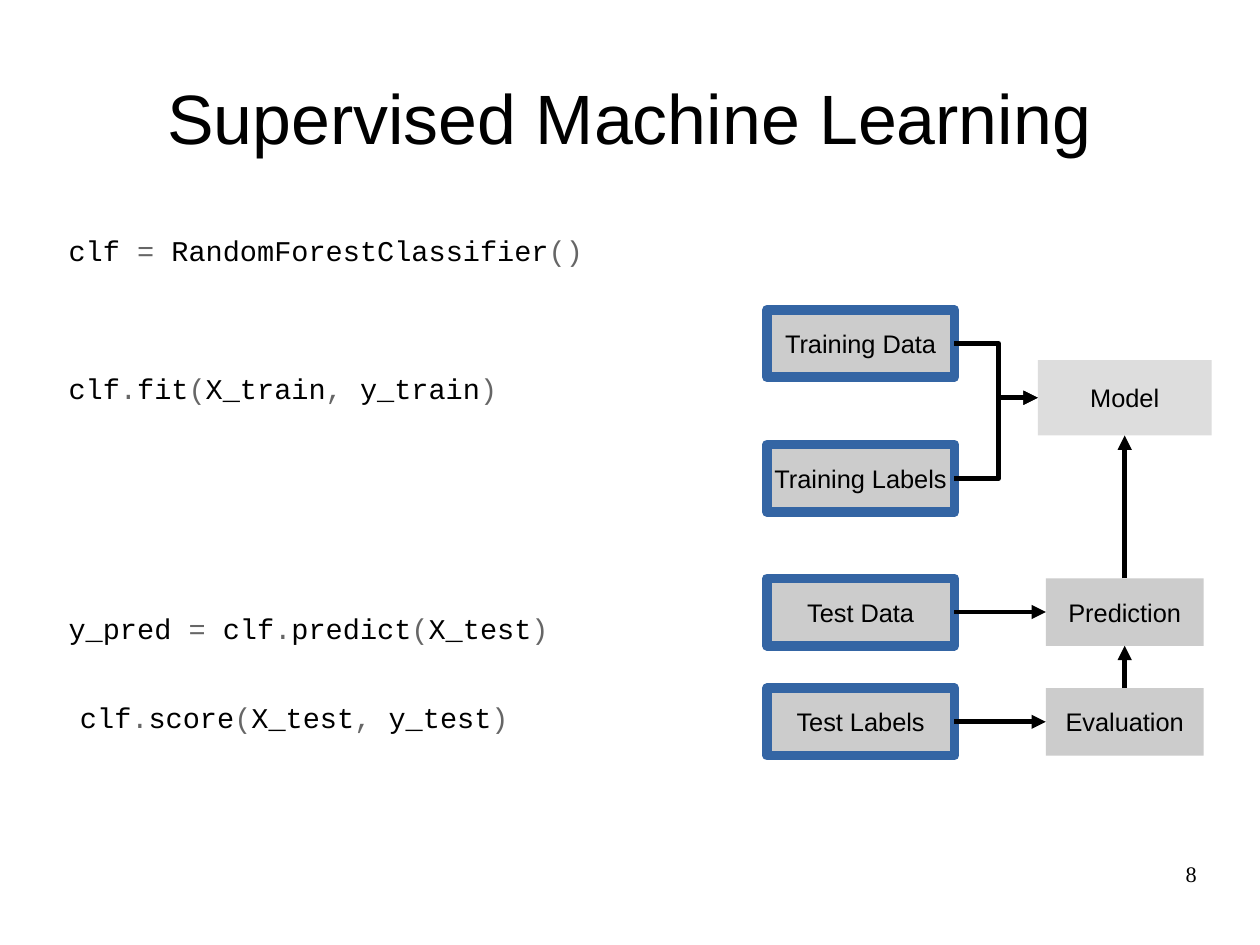
from itertools import groupby

from lxml import etree
from pptx import Presentation
from pptx import util as u
from pptx.dml.color import RGBColor
from pptx.enum import shapes, text
from pptx.oxml import ns

BLACK = RGBColor(0x00, 0x00, 0x00)
OPERATOR = RGBColor(0x66, 0x66, 0x66)
GREY = RGBColor(0xCC, 0xCC, 0xCC)
LIGHT = RGBColor(0xDD, 0xDD, 0xDD)
BLUE = RGBColor(0x34, 0x65, 0xA4)

SANS, MONO, SERIF = "Arial", "Courier New", "Times New Roman"
TOP, LEFT, BOTTOM, RIGHT = range(4)
ALIGN = text.PP_ALIGN
ANCHOR = text.MSO_ANCHOR
CONNECTOR = shapes.MSO_CONNECTOR


class Deck:
    """Holds the style and the current slide."""

    def __init__(self, width, height):
        self.prs = Presentation()
        self.prs.slide_width = u.Inches(width)
        self.prs.slide_height = u.Inches(height)
        self.s = self.prs.slides.add_slide(self.prs.slide_layouts[6])

    def frame(self, tf, wrap, anchor, margins=(0, 0)):
        side, end = (u.Inches(m) for m in margins)
        form = {"word_wrap": wrap, "vertical_anchor": anchor,
                "margin_left": side, "margin_right": side,
                "margin_top": end, "margin_bottom": end}
        for name, value in form.items():
            setattr(tf, name, value)

    def run(self, p, words, size, font, color=BLACK):
        r = p.add_run()
        r.text = words
        for name, value in {"size": u.Pt(size), "name": font}.items():
            setattr(r.font, name, value)
        r.font.color.rgb = color

    def textbox(self, box, anchor=ANCHOR.TOP):
        sp = self.s.shapes.add_textbox(*map(u.Inches, box))
        self.frame(sp.text_frame, True, anchor)
        return sp.text_frame

    def label(self, box, words, size, font, align, anchor=ANCHOR.TOP):
        p = self.textbox(box, anchor).paragraphs[0]
        p.alignment = align
        self.run(p, words, size, font)

    def code(self, box, lines):
        """Lines are (space before in points, code)."""
        tf = self.textbox(box)
        for i, (space, line) in enumerate(lines):
            p = tf.add_paragraph() if i else tf.paragraphs[0]
            if space:
                p.space_before = u.Pt(space)
            for is_operator, chars in groupby(line, lambda c: c in "=.,()"):
                self.run(p, "".join(chars), 18, MONO,
                         OPERATOR if is_operator else BLACK)

    def block(self, box, words, fill=GREY, border=None):
        sp = self.s.shapes.add_shape(shapes.MSO_SHAPE.RECTANGLE,
                                     *map(u.Inches, box))
        sp.shadow.inherit = False
        sp.fill.solid()
        sp.fill.fore_color.rgb = fill
        if border is None:
            sp.line.fill.background()
        else:
            sp.line.color.rgb = border
            sp.line.width = u.Pt(6)
        self.frame(sp.text_frame, False, ANCHOR.MIDDLE,
                   (0.1, 0.05) if border is None else (0.14, 0.09))
        p = sp.text_frame.paragraphs[0]
        p.alignment = ALIGN.CENTER
        self.run(p, words, 16, SANS)
        return sp

    def connector(self, kind, start=(0, 0), end=(0, 0)):
        c = self.s.shapes.add_connector(kind, *map(u.Inches, start + end))
        c.line.color.rgb = BLACK
        c.line.width = u.Pt(3)
        etree.SubElement(c.line._get_or_add_ln(), ns.qn("a:tailEnd"),
                         type="triangle")
        etree.SubElement(c._element.spPr, ns.qn("a:effectLst"))
        return c

    def arrow(self, source, out_side, target, in_side):
        c = self.connector(CONNECTOR.STRAIGHT)
        c.begin_connect(source, out_side)
        c.end_connect(target, in_side)

    def elbow(self, start, end, bend):
        c = self.connector(CONNECTOR.ELBOW, start, end)
        geom = c._element.spPr.find(ns.qn("a:prstGeom"))
        etree.SubElement(geom.find(ns.qn("a:avLst")), ns.qn("a:gd"),
                         name="adj1", fmla=f"val {round(bend * 100000)}")


def main():
    # Page of 28 by 21 centimetres
    d = Deck(28 / 2.54, 21 / 2.54)

    # Title and page number
    d.label((0.55, 0.33, 9.92, 1.38), "Supervised Machine Learning", 44, SANS,
            ALIGN.CENTER, ANCHOR.MIDDLE)
    d.label((7.9, 7.53, 2.57, 0.57), "8", 14, SERIF, ALIGN.RIGHT)

    # Code
    d.code((0.6, 2.04, 5.9, 3.42), [
        (0, "clf = RandomForestClassifier()"),
        (65.2, "clf.fit(X_train, y_train)"),
        (129.5, "y_pred = clf.predict(X_test)"),
    ])
    d.code((0.7, 6.12, 9.4, 1), [(0, "clf.score(X_test, y_test)")])

    # Inputs on the left, steps on the right
    input_x, input_w, step_x, step_w, h = 6.71, 1.64, 9.15, 1.38, 0.59
    input_tops = {"Training Data": 2.71, "Training Labels": 3.89,
                  "Test Data": 5.06, "Test Labels": 6.02}
    inputs = {name: d.block((input_x, y, input_w, h), name, border=BLUE)
              for name, y in input_tops.items()}
    model = d.block((9.08, 3.15, 1.52, 0.66), "Model", LIGHT)
    prediction, evaluation = (
        d.block((step_x, input_tops[row], step_w, h), name)
        for row, name in (("Test Data", "Prediction"),
                          ("Test Labels", "Evaluation")))

    # Training inputs meet at the model
    for name in ("Training Data", "Training Labels"):
        d.elbow((input_x + input_w, input_tops[name] + h / 2),
                (9.08, 3.48), 0.53)

    # Straight arrows
    d.arrow(inputs["Test Data"], RIGHT, prediction, LEFT)
    d.arrow(inputs["Test Labels"], RIGHT, evaluation, LEFT)
    d.arrow(evaluation, TOP, prediction, BOTTOM)
    d.arrow(prediction, TOP, model, BOTTOM)

    d.prs.save("out.pptx")


if __name__ == "__main__":
    main()
